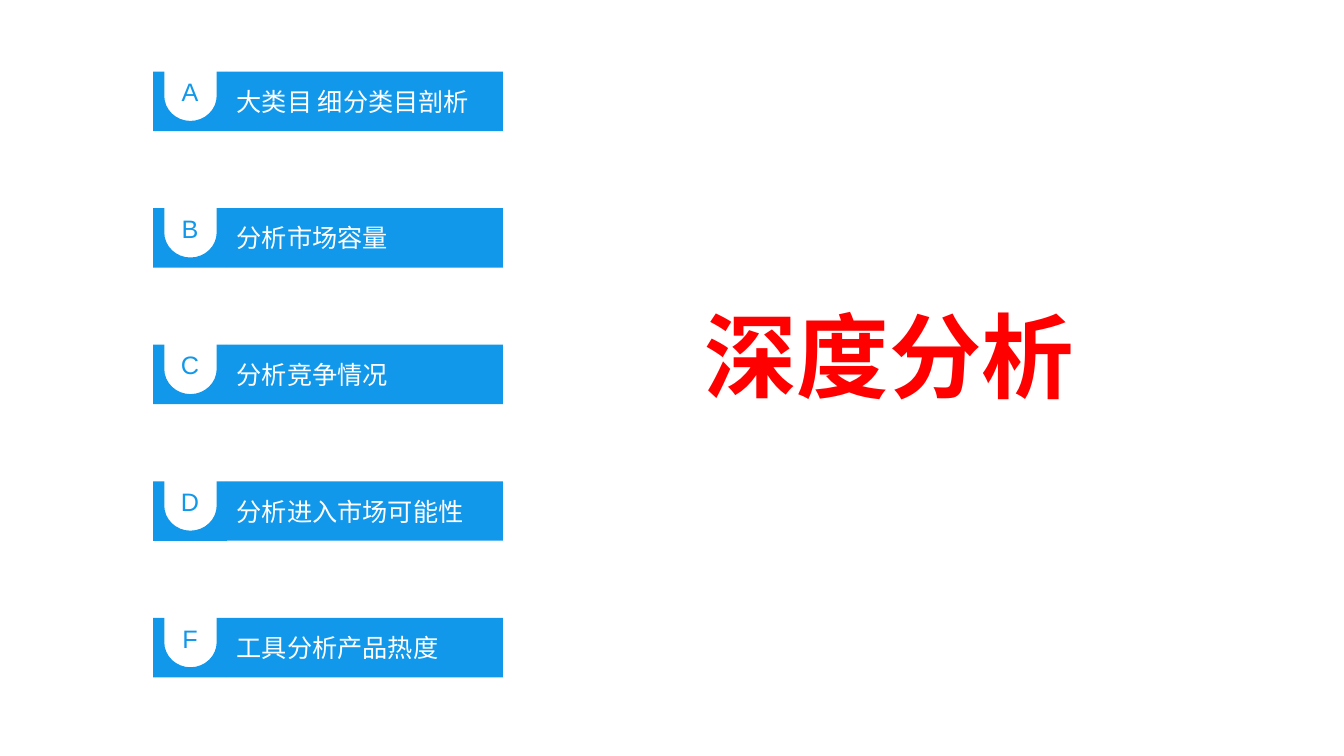
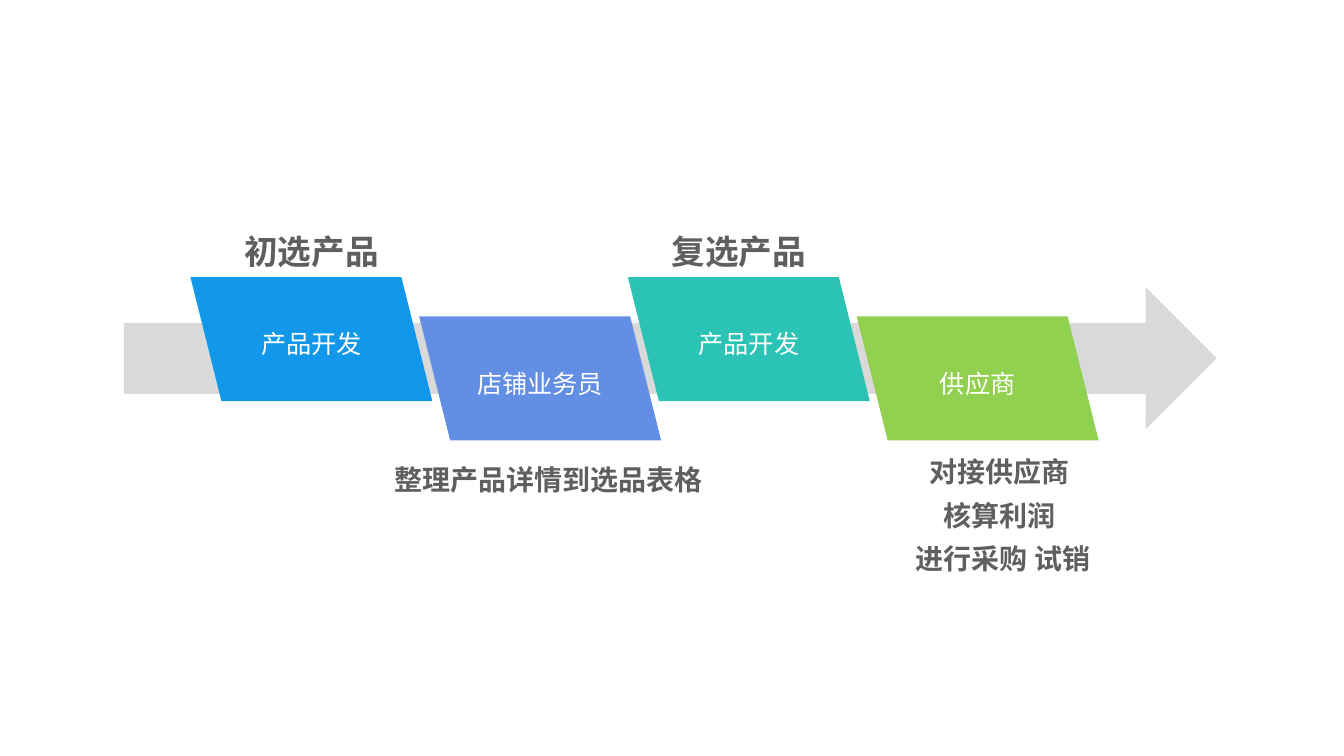
import pptx
import pptx.dml.color
import pptx.enum.shapes
import pptx.enum.text
import pptx.oxml.ns
import pptx.util
from lxml import etree

Inches = pptx.util.Inches
Pt = pptx.util.Pt
RGBColor = pptx.dml.color.RGBColor
SHAPE = pptx.enum.shapes.MSO_SHAPE
ALIGN = pptx.enum.text.PP_ALIGN
ANCHOR = pptx.enum.text.MSO_ANCHOR
qn = pptx.oxml.ns.qn

# Colours and fonts
BLUE = RGBColor(0x11, 0x98, 0xEB)
INDIGO = RGBColor(0x62, 0x8E, 0xE3)
TEAL = RGBColor(0x2B, 0xC3, 0xB5)
GREEN = RGBColor(0x92, 0xD0, 0x50)
RED = RGBColor(0xFF, 0x00, 0x00)
GREY = RGBColor(0x5F, 0x5F, 0x5F)
LIGHT_GREY = RGBColor(0xD9, 0xD9, 0xD9)
WHITE = RGBColor(0xFF, 0xFF, 0xFF)
LATIN_FONT = "Arial"
CJK_FONT = "Noto Sans CJK SC"

# Text styles
LABEL = {"name": LATIN_FONT, "size": Pt(18), "bold": False}
TITLE = {"name": CJK_FONT, "size": Pt(66), "bold": True}
HEADING = {"name": CJK_FONT, "size": Pt(24), "bold": True}
HEADING_TAIL = {"name": LATIN_FONT, "size": Pt(20), "bold": False}
NOTE = {"name": CJK_FONT, "size": Pt(20), "bold": True}

# Agenda geometry
ROW_LEFT, FIRST_TOP, LAST_TOP = 1.52, 0.71, 6.13
ROW_H, TAB_W, BAR_W = 0.59, 0.73, 2.74
NOTCH_X, NOTCH_R = 0.37, 0.26
NOTCH_SIDE, NOTCH_DEPTH = 0.24, 0.49
CURVE = 0.55

# Process geometry
STEP_W, STEP_H = 2.4, 1.23
UPPER_TOP, LOWER_TOP = 2.75, 3.14
NOTE_H = 1.28


def add_run(p, text, style, color):
    r = p.add_run()
    r.text = text
    for key, value in style.items():
        setattr(r.font, key, value)
    r.font.color.rgb = color
    ea = etree.SubElement(r.font._element, qn("a:ea"))
    ea.set("typeface", CJK_FONT)


def write(shape, lines, style, color, align=ALIGN.CENTER,
          anchor=ANCHOR.MIDDLE, spacing=1.0):
    """Write one paragraph for each line in a single style."""
    tf = shape.text_frame
    tf.word_wrap = True
    tf.vertical_anchor = anchor
    for i, line in enumerate(lines):
        p = tf.add_paragraph() if i else tf.paragraphs[0]
        p.alignment = align
        p.line_spacing = spacing
        add_run(p, line, style, color)


def paint(shape, color):
    """Give a shape a plain fill without line or shadow."""
    shape.shadow.inherit = False
    shape.fill.solid()
    shape.fill.fore_color.rgb = color
    shape.line.fill.background()
    return shape


def add_block(s, kind, left, top, width, height, color):
    return paint(s.shapes.add_shape(kind, Inches(left), Inches(top),
                                    Inches(width), Inches(height)), color)


def bend(segment, start, controls, end):
    """Turn a line segment into a cubic curve."""
    curve = etree.Element(qn("a:cubicBezTo"))
    for x, y in [*controls, end]:
        pt = etree.SubElement(curve, qn("a:pt"))
        pt.set("x", str(round(x)))
        pt.set("y", str(round(y)))
    segment.getparent().replace(segment, curve)


def round_notch(shape):
    """Round the two segments at the foot of the notch."""
    segments = list(shape._element.iter(qn("a:lnTo")))[1:4]
    (x0, y0), (x1, y1), (x2, y2) = [
        (int(seg[0].get("x")), int(seg[0].get("y"))) for seg in segments]
    bend(segments[1], (x0, y0),
         [(x0, y0 + CURVE * (y1 - y0)), (x1 - CURVE * (x1 - x0), y1)],
         (x1, y1))
    bend(segments[2], (x1, y1),
         [(x1 + CURVE * (x2 - x1), y1), (x2, y2 + CURVE * (y1 - y2))],
         (x2, y2))


def add_notched_tab(s, top, letter):
    """Draw a tab with a U-shaped notch that holds the letter."""
    right, bottom = ROW_LEFT + TAB_W, top + ROW_H
    cx, side = ROW_LEFT + NOTCH_X, top + NOTCH_SIDE
    outline = [(cx - NOTCH_R, top), (cx - NOTCH_R, side),
               (cx, top + NOTCH_DEPTH),
               (cx + NOTCH_R, side), (cx + NOTCH_R, top),
               (right, top), (right, bottom), (ROW_LEFT, bottom)]
    builder = s.shapes.build_freeform(Inches(ROW_LEFT), Inches(top))
    builder.add_line_segments([(Inches(x), Inches(y)) for x, y in outline])
    tab = paint(builder.convert_to_shape(), BLUE)
    round_notch(tab)
    write(tab, [letter], LABEL, BLUE, anchor=ANCHOR.TOP)


def add_agenda_row(s, top, letter, text):
    add_notched_tab(s, top, letter)
    bar = add_block(s, SHAPE.RECTANGLE, ROW_LEFT + TAB_W, top,
                    BAR_W, ROW_H, BLUE)
    write(bar, [text], LABEL, WHITE, align=ALIGN.LEFT)


def add_step(s, left, top, text, color):
    step = add_block(s, SHAPE.PARALLELOGRAM, left, top, STEP_W, STEP_H, color)
    step._element.spPr.xfrm.set("flipH", "1")
    write(step, [text], LABEL, WHITE, spacing=1.3)


def add_note(s, left, top, width, lines, style, anchor):
    box = s.shapes.add_textbox(Inches(left), Inches(top),
                               Inches(width), Inches(NOTE_H))
    write(box, lines, style, GREY, anchor=anchor, spacing=1.3)
    return box


def build_agenda(prs):
    s = prs.slides.add_slide(prs.slide_layouts[5])
    # Title
    title = s.shapes.title
    title.left, title.top = Inches(6.89), Inches(2.92)
    title.width, title.height = Inches(3.97), Inches(1.2)
    write(title, ["深度分析"], TITLE, RED, align=ALIGN.LEFT)
    # Evenly spaced rows
    rows = [("A", "大类目 细分类目剖析"), ("B", "分析市场容量"),
            ("C", "分析竞争情况"), ("D", "分析进入市场可能性"),
            ("F", "工具分析产品热度")]
    pitch = (LAST_TOP - FIRST_TOP) / (len(rows) - 1)
    for i, (letter, text) in enumerate(rows):
        add_agenda_row(s, FIRST_TOP + i * pitch, letter, text)


def build_process(prs):
    s = prs.slides.add_slide(prs.slide_layouts[6])
    # Arrow behind the steps
    add_block(s, SHAPE.RIGHT_ARROW, 1.23, 2.85, 10.84, 1.41, LIGHT_GREY)
    # Steps
    for left, top, text, color in [
            (1.89, UPPER_TOP, "产品开发", BLUE),
            (6.23, UPPER_TOP, "产品开发", TEAL),
            (4.16, LOWER_TOP, "店铺业务员", INDIGO),
            (8.5, LOWER_TOP, "供应商", GREEN)]:
        add_step(s, left, top, text, color)
    # Headings above the steps
    add_note(s, 1.89, 1.46, STEP_W, ["初选产品"], HEADING, ANCHOR.BOTTOM)
    second = add_note(s, 6.16, 1.46, STEP_W, ["复选产品"], HEADING,
                      ANCHOR.BOTTOM)
    add_run(second.text_frame.paragraphs[0], " ", HEADING_TAIL, GREY)
    # Notes below the steps
    add_note(s, 3.65, 4.44, 3.59, ["整理产品详情到选品表格"], NOTE, ANCHOR.TOP)
    add_note(s, 8.75, 4.36, STEP_W,
             ["对接供应商 ", "核算利润 ", "进行采购 试销"], NOTE, ANCHOR.TOP)


def main():
    prs = pptx.Presentation()
    prs.slide_width, prs.slide_height = Inches(40 / 3), Inches(7.5)
    build_agenda(prs)
    build_process(prs)
    prs.save("out.pptx")


if __name__ == "__main__":
    main()
